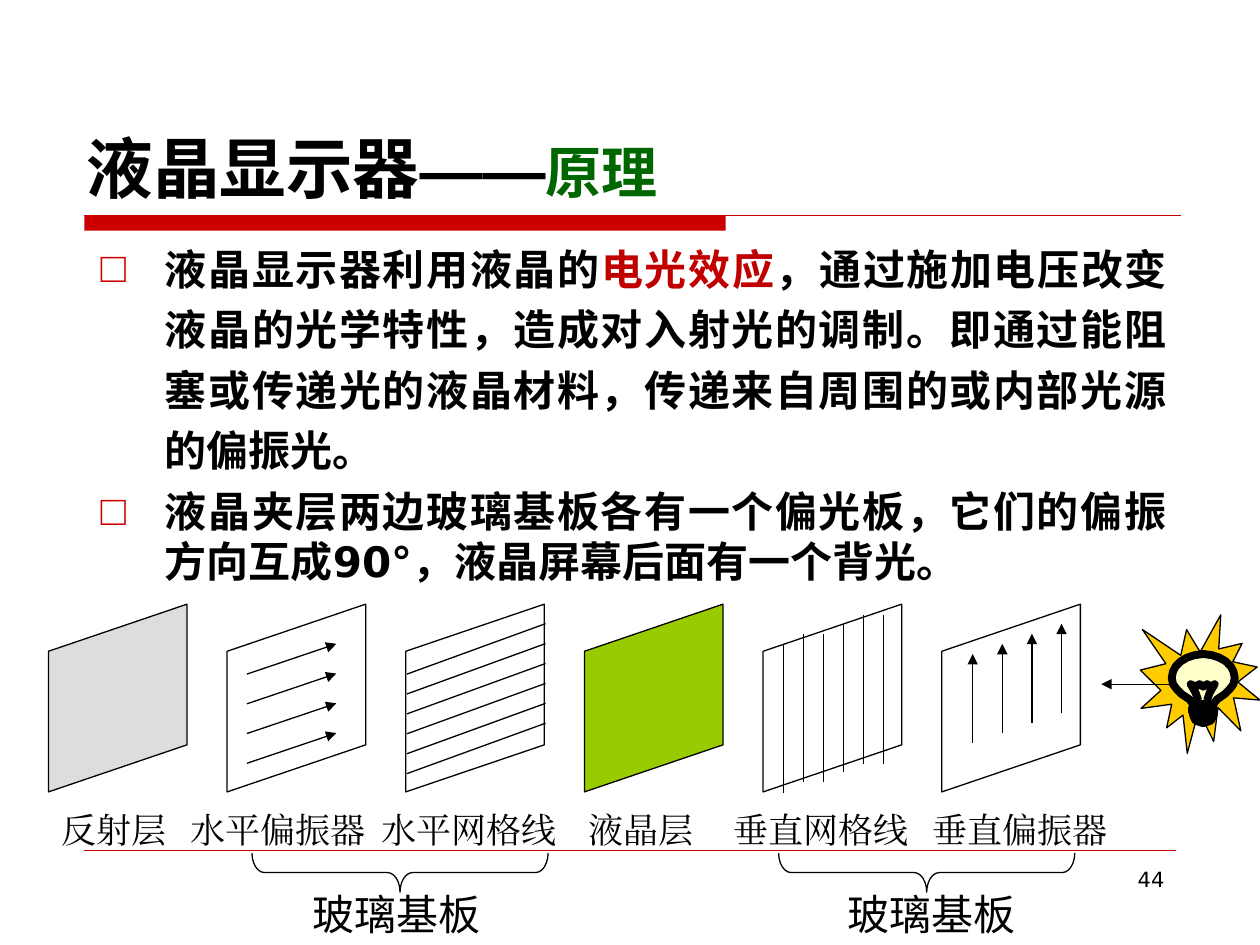
from lxml import etree
from pptx import Presentation
from pptx.dml.color import RGBColor
from pptx.enum.shapes import MSO_CONNECTOR, MSO_SHAPE
from pptx.enum.text import MSO_ANCHOR, PP_ALIGN
from pptx.oxml.ns import qn
from pptx.util import Inches, Pt

STRAIGHT = MSO_CONNECTOR.STRAIGHT
RECT, BURST = MSO_SHAPE.RECTANGLE, MSO_SHAPE.EXPLOSION1
PANEL, BRACE = MSO_SHAPE.PARALLELOGRAM, MSO_SHAPE.LEFT_BRACE
LEFT, CENTER, RIGHT, JUSTIFY = PP_ALIGN.LEFT, PP_ALIGN.CENTER, PP_ALIGN.RIGHT, PP_ALIGN.JUSTIFY
TOP, BOTTOM = MSO_ANCHOR.TOP, MSO_ANCHOR.BOTTOM
SANS = "DejaVu Sans"
COLORS = {"black": "000000", "rule": "CC0000", "accent": "C00000", "green": "006600",
          "gray": "DDDDDD", "lime": "99CC00", "amber": "FFCC00", "glow": "FFFFCC"}
RGB = {name: RGBColor.from_string(value) for name, value in COLORS.items()}

prs = Presentation()
prs.slide_width, prs.slide_height = Inches(10), Inches(7.5)
s = prs.slides.add_slide(prs.slide_layouts[6])


def add_line(x1, y1, x2, y2, color="black", width=0.75, arrow=False):
    c = s.shapes.add_connector(STRAIGHT, Inches(x1), Inches(y1), Inches(x2), Inches(y2))
    c.line.color.rgb = RGB[color]
    c.line.width = Pt(width)
    spPr = c.element.spPr
    if arrow:
        etree.SubElement(spPr.find(qn("a:ln")), qn("a:tailEnd"), type="triangle")
    etree.SubElement(spPr, qn("a:effectLst"))


def add_text(box, paragraphs, align=LEFT, anchor=TOP):
    """Each paragraph is a list of (text, size, font, color, bold) runs."""
    tf = s.shapes.add_textbox(*[Inches(v) for v in box]).text_frame
    tf.word_wrap = True
    tf.vertical_anchor = anchor
    for i, runs in enumerate(paragraphs):
        p = tf.paragraphs[0] if i == 0 else tf.add_paragraph()
        p.alignment = align
        for text, size, font, color, bold in runs:
            r = p.add_run()
            r.text = text
            r.font.size, r.font.name, r.font.bold = Pt(size), font, bold
            r.font.color.rgb = RGB[color]
            etree.SubElement(r.font._element, qn("a:ea"), typeface=font)
    return tf


# Title rules and footer rule
bar = s.shapes.add_shape(RECT, Inches(0.67), Inches(1.71), Inches(5.09), Inches(0.12))
bar.shadow.inherit = False
bar.fill.solid()
bar.fill.fore_color.rgb = RGB["rule"]
bar.line.fill.background()
add_line(0.67, 1.71, 9.37, 1.71, "rule")
add_line(0.67, 6.75, 9.33, 6.75, "rule", 0.25)

# Body text with hanging square bullets
tf = add_text((0.7, 1.8, 8.66, 5.42), [
    [("液晶显示器利用液晶的", 24, SANS, "black", True),
     ("电光效应", 24, SANS, "accent", True),
     ("，通过施加电压改变液晶的光学特性，造成对入射光的调制。即通过能阻塞或传递光的液晶材料，"
      "传递来自周围的或内部光源的偏振光。", 24, SANS, "black", True)],
    [("液晶夹层两边玻璃基板各有一个偏光板，它们的偏振方向互成90°，液晶屏幕后面有一个背光。",
      24, SANS, "black", True)],
], JUSTIFY)
tf.paragraphs[0].line_spacing = 1.2
tf.paragraphs[1].space_before = Pt(6)
for p in tf.paragraphs:
    pPr = p._p.get_or_add_pPr()
    pPr.set("marL", str(Inches(0.51)))
    pPr.set("indent", str(Inches(-0.51)))
    buClr = etree.SubElement(pPr, qn("a:buClr"))
    etree.SubElement(buClr, qn("a:srgbClr"), val=COLORS["rule"])
    etree.SubElement(pPr, qn("a:buFont"), typeface="Arial")
    etree.SubElement(pPr, qn("a:buChar"), char="□")

# Page number and title
add_text((7.17, 6.83, 2.17, 0.52), [[("44", 12, SANS, "black", False)]], RIGHT)
add_text((0.59, 0.36, 8.75, 1.33), [[
    ("液晶显示器", 38, SANS, "black", True),
    ("——", 36, "Arial", "black", True),
    ("原理", 32, SANS, "green", True)]], anchor=BOTTOM)

# Light burst
burst = s.shapes.add_shape(BURST, Inches(9.05), Inches(4.88), Inches(0.95), Inches(1.1))
burst.shadow.inherit = False
burst.fill.solid()
burst.fill.fore_color.rgb = RGB["amber"]
burst.line.color.rgb = RGB["black"]
burst.line.width = Pt(0.75)

# Six slanted layers
for i, fill in enumerate(["gray", None, None, "lime", None, None]):
    sp = s.shapes.add_shape(PANEL, Inches(0.19 + 1.418 * i), Inches(4.99), Inches(1.49), Inches(1.1))
    sp.shadow.inherit = False
    sp.adjustments[0] = 0.34
    sp.rotation = 90
    sp.element.spPr.find(qn("a:xfrm")).set("flipH", "1")
    if fill:
        sp.fill.solid()
        sp.fill.fore_color.rgb = RGB[fill]
    else:
        sp.fill.background()
    sp.line.color.rgb = RGB["black"]
    sp.line.width = Pt(0.75)

# Horizontal and vertical grids
for i, top in enumerate([5.11, 5.03, 5.03, 4.95, 4.88, 4.88]):
    y = 5.35 + 0.158 * i
    add_line(3.23, y, 4.33, y - 0.4)
    x = 6.22 + 0.158 * i
    add_line(x, top, x, top + 1.18)

# Polarizer arrows and incoming light
for i in range(4):
    y = 5.35 + 0.236 * i
    add_line(1.96, y, 2.67, y - 0.24, arrow=True)
    x, y = 7.72 + 0.235 * i, 5.9 - 0.08 * i
    add_line(x, y, x, y - 0.71, arrow=True)
add_line(9.53, 5.43, 8.74, 5.43, arrow=True)

# Layer labels on tab stops
tf = add_text((0.39, 6.37, 8.74, 0.44), [[
    ("反射层\t水平偏振器\t水平网格线\t液晶层\t垂直网格线\t垂直偏振器", 20, "Times New Roman", "black", False)]])
tabLst = etree.SubElement(tf.paragraphs[0]._p.get_or_add_pPr(), qn("a:tabLst"))
for stop in (1.02, 2.54, 4.18, 5.33, 6.91):
    etree.SubElement(tabLst, qn("a:tab"), pos=str(Inches(stop)), algn="l")

# Bulb: symmetric glass outline, then filament and socket rings
MID = 9.55
half = [(0, 5.19), (0.07, 5.2), (0.13, 5.22), (0.18, 5.25), (0.22, 5.29), (0.24, 5.33),
        (0.25, 5.38), (0.24, 5.43), (0.21, 5.47), (0.17, 5.51), (0.11, 5.55), (0.08, 5.59),
        (0.08, 5.68), (0.06, 5.72), (0, 5.74)]
glass = [(MID + dx, y) for dx, y in half] + [(MID - dx, y) for dx, y in half[-2:0:-1]]
filament = [(9.51, 5.56), (9.49, 5.5), (9.45, 5.43), (9.49, 5.45), (9.52, 5.43), (9.55, 5.45),
            (9.58, 5.43), (9.61, 5.45), (9.64, 5.43), (9.6, 5.5), (9.58, 5.56)]
rings = [(9.46, 5.59), (9.63, 5.59), (9.63, 5.62), (9.46, 5.62),
         (9.46, 5.65), (9.63, 5.65), (9.63, 5.68), (9.46, 5.68)]
for contours, closed in (([glass], True), ([filament, rings], False)):
    fb = None
    for points in contours:
        points = [(Inches(x), Inches(y)) for x, y in points]
        if fb is None:
            fb = s.shapes.build_freeform(*points[0])
        else:
            fb.move_to(*points[0])
        fb.add_line_segments(points[1:], close=closed)
    sp = fb.convert_to_shape()
    sp.shadow.inherit = False
    sp.fill.solid()
    sp.fill.fore_color.rgb = RGB["glow"]
    sp.line.color.rgb = RGB["black"]
    sp.line.width = Pt(4.5)

# Braces and glass substrate labels
for brace_x, label_x in ((3.02, 2.32), (7.2, 6.57)):
    sp = s.shapes.add_shape(BRACE, Inches(brace_x), Inches(5.75), Inches(0.31), Inches(2.35))
    sp.shadow.inherit = False
    sp.adjustments[0] = 0.32
    sp.rotation = 270
    sp.fill.background()
    sp.line.color.rgb = RGB["black"]
    sp.line.width = Pt(0.75)
    add_text((label_x, 7, 1.65, 0.5), [[("玻璃基板", 24, SANS, "black", False)]], CENTER)

prs.save("out.pptx")
